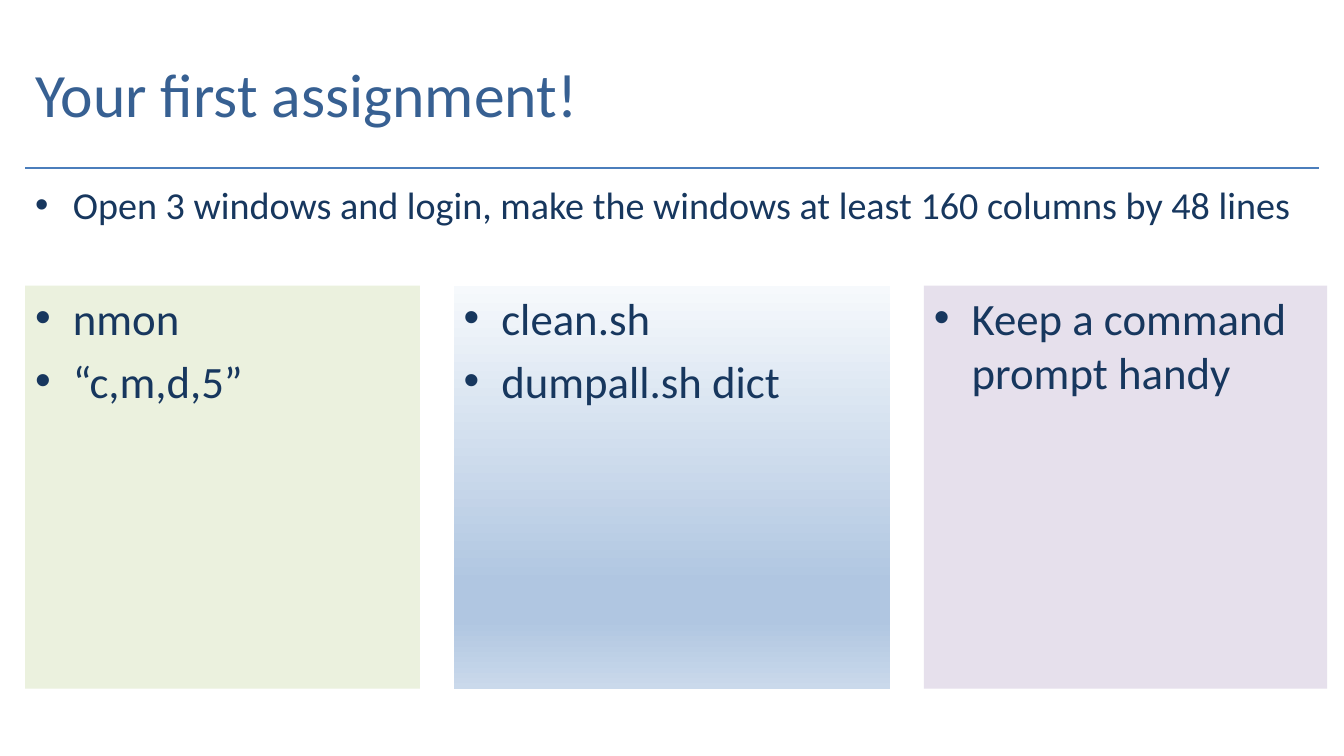
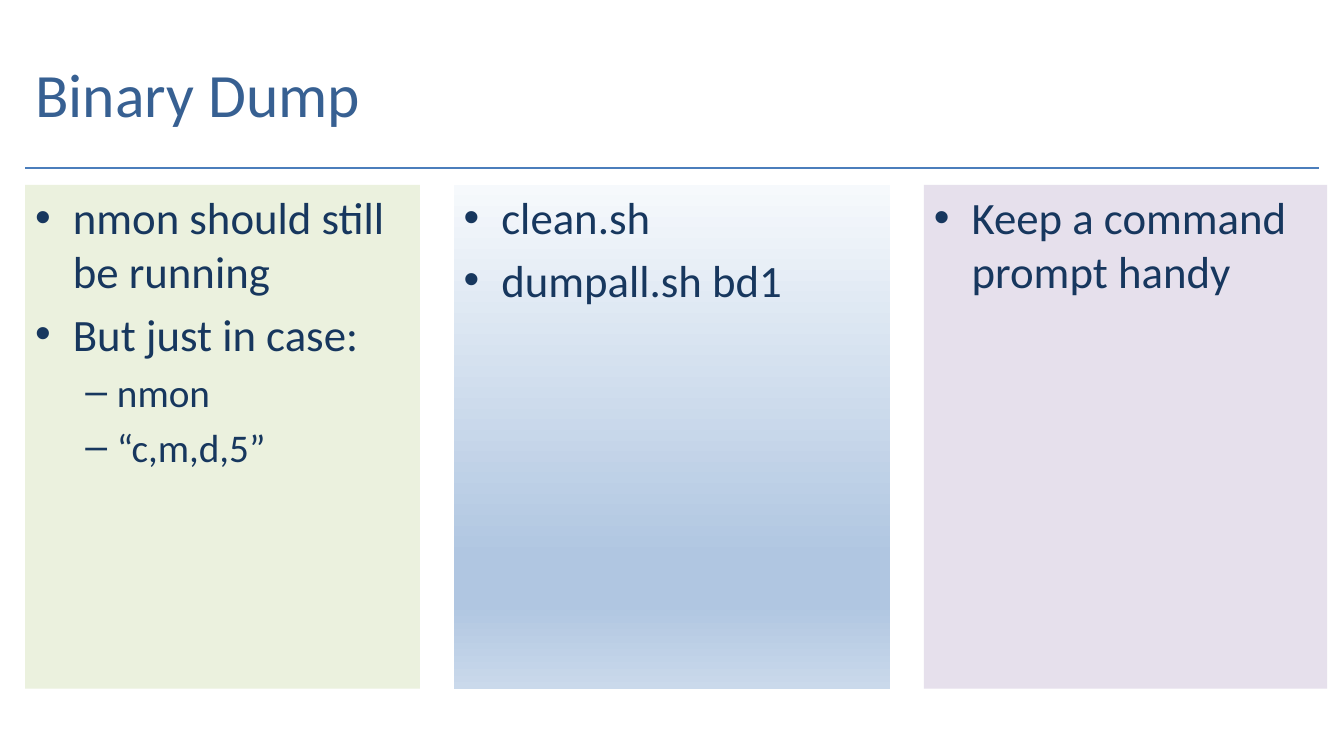
from dataclasses import dataclass
from typing import Any

from lxml import etree
from pptx import Presentation
from pptx import util as u
from pptx.dml.color import RGBColor
from pptx.enum import shapes, text
from pptx.oxml.ns import qn

Pt = u.Pt


@dataclass(frozen=True)
class Theme:
    font: str = "Calibri"
    title: str = "376092"
    ink: str = "17375E"
    rule: str = "4B7EBC"
    green: str = "EBF1DE"
    mauve: str = "E6E0EC"
    blue: tuple = ((0, "F6F9FC"), (74, "B0C6E1"), (83, "B0C6E1"), (100, "CAD9EB"))
    head: float = 44
    lead: float = 27.2
    main: float = 32
    sub: float = 28


@dataclass(frozen=True)
class Item:
    words: str
    size: float
    level: int = 0


@dataclass(frozen=True)
class Level:
    mark: str
    left: float
    hang: float


@dataclass(frozen=True)
class Panel:
    width: float
    fill: Any


@dataclass(frozen=True)
class Page:
    title: str
    top: float
    lists: tuple
    lead: str = ""


T = Theme()
LEFT, GAP, BASE = 18, 24, 492
LEVELS = (Level("•", 27, 27), Level("–", 58.5, 22.5))
PANELS = (Panel(282, T.green), Panel(312, T.blue), Panel(288, T.mauve))


def main_item(words: str) -> Item:
    return Item(words, T.main)


def sub_item(words: str) -> Item:
    return Item(words, T.sub, 1)


PROMPT = (main_item("Keep a command prompt handy"),)
PAGES = (
    Page(
        "Your first assignment!",
        204,
        (
            (main_item("nmon"), main_item("“c,m,d,5”")),
            (main_item("clean.sh"), main_item("dumpall.sh dict")),
            PROMPT,
        ),
        "Open 3 windows and login, make the windows at least 160 columns by 48 lines",
    ),
    Page(
        "Binary Dump",
        132,
        (
            (
                main_item("nmon should still be running"),
                main_item("But just in case:"),
                sub_item("nmon"),
                sub_item("“c,m,d,5”"),
            ),
            (main_item("clean.sh"), main_item("dumpall.sh bd1")),
            PROMPT,
        ),
    ),
)


def add_run(para: Any, words: str, size: float, color: str) -> None:
    run = para.add_run()
    run.text = words
    run.font.name = T.font
    run.font.size = Pt(size)
    run.font.color.rgb = RGBColor.from_string(color)


def set_frame(frame: Any, anchor: Any) -> None:
    frame.word_wrap = True
    frame.auto_size = text.MSO_AUTO_SIZE.NONE
    frame.vertical_anchor = anchor
    frame.margin_left = frame.margin_right = Pt(7.2)
    frame.margin_top = frame.margin_bottom = Pt(3.6)


def set_mark(para: Any, level: Level) -> None:
    props = para._p.get_or_add_pPr()
    props.set("marL", str(Pt(level.left)))
    props.set("indent", str(-Pt(level.hang)))
    etree.SubElement(props, qn("a:buFont"), typeface="Arial")
    etree.SubElement(props, qn("a:buChar"), char=level.mark)


def add_list(frame: Any, items: tuple) -> None:
    set_frame(frame, text.MSO_ANCHOR.TOP)
    for i, item in enumerate(items):
        para = frame.add_paragraph() if i else frame.paragraphs[0]
        set_mark(para, LEVELS[item.level])
        para.level = item.level
        para.alignment = text.PP_ALIGN.LEFT
        para.space_before = Pt(0.2 * item.size if i else 0)
        add_run(para, item.words, item.size, T.ink)


def set_fill(shape: Any, fill: Any) -> None:
    if isinstance(fill, str):
        shape.fill.solid()
        shape.fill.fore_color.rgb = RGBColor.from_string(fill)
        return
    shape.fill.gradient()
    grad = shape._element.spPr.find(qn("a:gradFill"))
    stops = grad.find(qn("a:gsLst"))
    for old in list(stops):
        stops.remove(old)
    for place, color in fill:
        stop = etree.SubElement(stops, qn("a:gs"), pos=str(place * 1000))
        etree.SubElement(stop, qn("a:srgbClr"), val=color)
    grad.find(qn("a:lin")).set("ang", "5400000")


def add_title(slide: Any, words: str) -> None:
    title = slide.shapes.title
    title.left, title.top = Pt(LEFT), Pt(21.6)
    title.width, title.height = Pt(846), Pt(90)
    set_frame(title.text_frame, text.MSO_ANCHOR.MIDDLE)
    para = title.text_frame.paragraphs[0]
    para.alignment = text.PP_ALIGN.LEFT
    add_run(para, words, T.head, T.title)


def add_rule(slide: Any) -> None:
    rule = slide.shapes.add_connector(
        shapes.MSO_CONNECTOR.STRAIGHT, Pt(LEFT), Pt(120), Pt(942), Pt(120)
    )
    rule.line.color.rgb = RGBColor.from_string(T.rule)
    rule.line.width = Pt(1.5)
    etree.SubElement(rule._element.spPr, qn("a:effectLst"))


def add_panels(slide: Any, top: float, lists: tuple) -> None:
    left = LEFT
    for panel, items in zip(PANELS, lists):
        box = slide.shapes.add_shape(
            shapes.MSO_SHAPE.RECTANGLE, Pt(left), Pt(top), Pt(panel.width), Pt(BASE - top)
        )
        box.shadow.inherit = False
        box.line.fill.background()
        set_fill(box, panel.fill)
        add_list(box.text_frame, items)
        left += panel.width + GAP


def add_page(deck: Any, page: Page) -> None:
    slide = deck.slides.add_slide(deck.slide_layouts.get_by_name("Title Only"))
    add_rule(slide)
    add_title(slide, page.title)
    if page.lead:
        box = slide.shapes.add_textbox(Pt(LEFT), Pt(126), Pt(924), Pt(54))
        add_list(box.text_frame, (Item(page.lead, T.lead),))
    add_panels(slide, page.top, page.lists)


def main() -> None:
    deck = Presentation()
    deck.slide_width, deck.slide_height = Pt(960), Pt(540)
    for page in PAGES:
        add_page(deck, page)
    deck.save("out.pptx")


if __name__ == "__main__":
    main()
